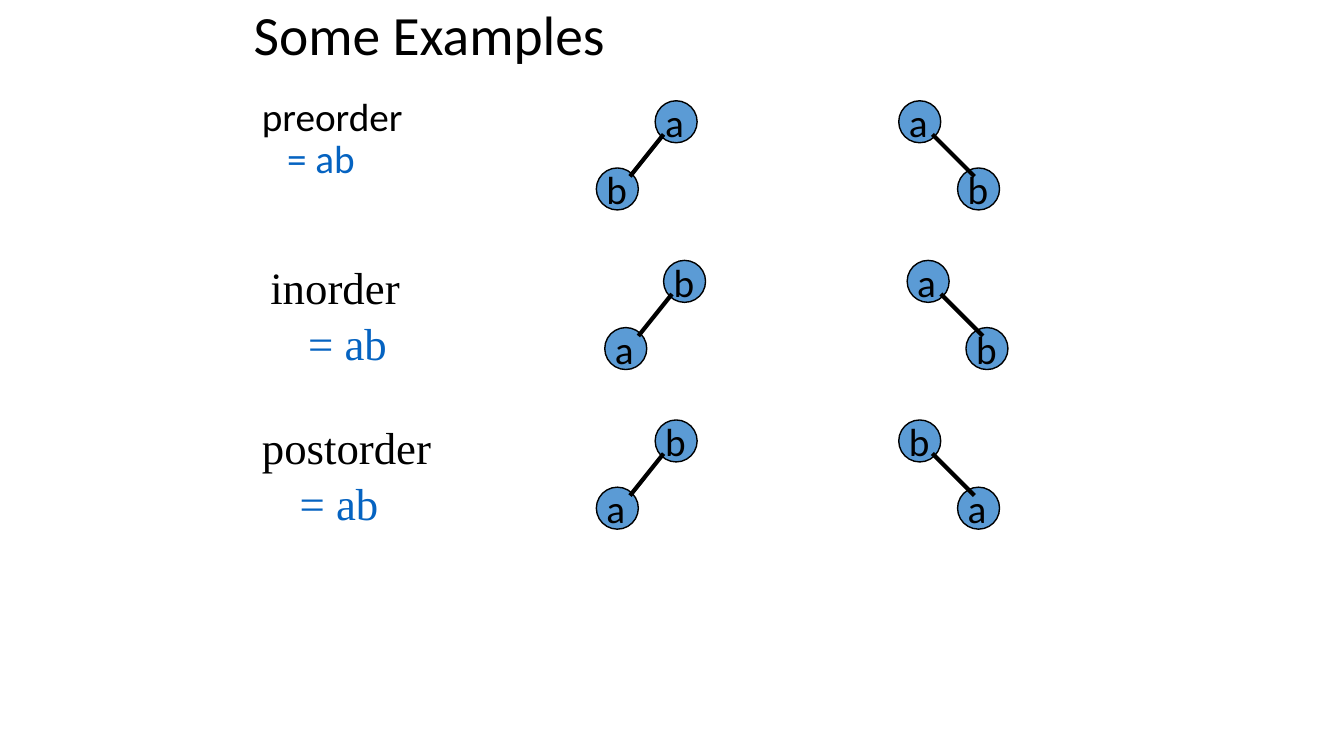
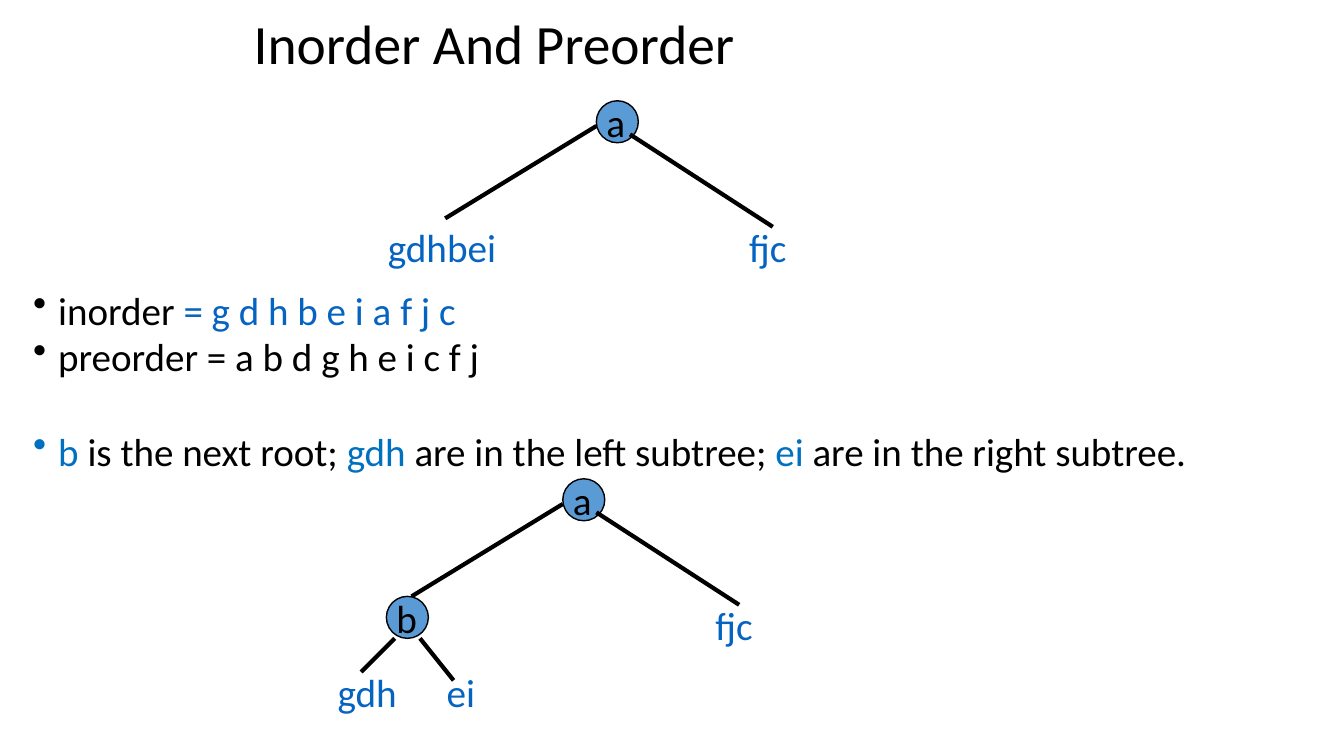
"""Build two slides on recovering binary trees from their traversals."""
import pptx
import pptx.dml.color
import pptx.enum.shapes
import pptx.enum.text
import pptx.oxml
import pptx.oxml.ns
import pptx.util

Pt = pptx.util.Pt
ANCHOR = pptx.enum.text.MSO_ANCHOR
ALIGN = pptx.enum.text.PP_ALIGN

COLORS = {"ink": "000000", "node": "5B9BD5", "answer": "0563C1", "key": "0070C0"}
BODY_FONT, SERIF_FONT = "Calibri", "Times New Roman"
NODE_SIZE = 30

ORDERS = [
    {"name": "preorder ", "trees": ("ab", "ab"), "shift": 0, "width": 132,
     "font": BODY_FONT, "size": 28, "hang": 18, "spacing": 0.9},
    {"name": "inorder ", "trees": ("ba", "ab"), "shift": 6, "width": 132,
     "font": SERIF_FONT, "size": 32, "hang": 27, "spacing": 1.05},
    {"name": "postorder ", "trees": ("ba", "ba"), "shift": 0, "width": 144,
     "font": SERIF_FONT, "size": 32, "hang": 27, "spacing": 1.05},
]
FIRST_ROW, ROW_STEP = 72, 114
LABEL_LEFT = 180
PAIRS = [
    {"root": 468, "child": -42, "edge": (6, -18)},
    {"root": 642, "child": 42, "edge": (24, 54)},
]

FACTS = [
    (10, [("inorder ", "ink"), ("= g d h b e i a f j c", "answer")]),
    (10, [("preorder = a b d g h e i c f j", "ink")]),
    (44, [("b", "key"), (" is the next root; ", "ink"), ("gdh ", "key"),
          ("are in the left subtree; ", "ink"), ("ei ", "key"),
          ("are in the right subtree.", "ink")]),
]
FIRST_ROOT, SECOND_ROOT = (426, 72), (402, 342)
SUBTREE_LABELS = [("gdhbei", 270, 156, 102), ("gdh", 234, 474, 60), ("ei", 312, 474, 48)]
SUBTREE_NODE = ("b", 276, 426)
SUBTREE_EDGES = [((282, 456), (258, 480)), ((300, 456), (324, 486))]


def rgb(name):
    return pptx.dml.color.RGBColor.from_string(COLORS[name])


def add_run(paragraph, text, color="ink", size=28, font=BODY_FONT):
    run = paragraph.add_run()
    run.text = text
    run.font.name, run.font.size = font, Pt(size)
    run.font.color.rgb = rgb(color)


def add_titled_slide(deck, title, top, height):
    slide = deck.slides.add_slide(deck.slide_layouts[5])
    heading = slide.shapes.title
    heading.left, heading.top = Pt(174), Pt(top)
    heading.width, heading.height = Pt(612), Pt(height)
    frame = heading.text_frame
    frame.auto_size = pptx.enum.text.MSO_AUTO_SIZE.NONE
    frame.vertical_anchor = ANCHOR.MIDDLE
    paragraph = frame.paragraphs[0]
    paragraph.alignment, paragraph.line_spacing = ALIGN.LEFT, 0.9
    add_run(paragraph, title, size=39.6)
    return slide


def add_text_frame(slide, left, top, width, height):
    frame = slide.shapes.add_textbox(Pt(left), Pt(top), Pt(width), Pt(height)).text_frame
    frame.word_wrap = True
    return frame


def set_hanging(paragraph, indent, bullet=None):
    properties = paragraph._p.get_or_add_pPr()
    properties.set("marL", str(Pt(indent)))
    properties.set("indent", str(-Pt(indent)))
    if bullet:
        mark = pptx.oxml.parse_xml(
            f'<a:buChar {pptx.oxml.ns.nsdecls("a")} char="{bullet}"/>')
        properties.append(mark)


def add_node(slide, letter, left, top):
    node = slide.shapes.add_shape(pptx.enum.shapes.MSO_SHAPE.OVAL,
                                  Pt(left), Pt(top), Pt(NODE_SIZE), Pt(NODE_SIZE))
    node.shadow.inherit = False
    node.fill.solid()
    node.fill.fore_color.rgb = rgb("node")
    node.line.color.rgb = rgb("ink")
    node.line.width = Pt(1)
    frame = node.text_frame
    frame.margin_left = Pt(2.8)
    frame.margin_right = frame.margin_top = frame.margin_bottom = 0
    frame.vertical_anchor = ANCHOR.MIDDLE
    frame.paragraphs[0].alignment = ALIGN.LEFT
    add_run(frame.paragraphs[0], letter)


def add_edge(slide, start, end):
    edge = slide.shapes.add_connector(pptx.enum.shapes.MSO_CONNECTOR.STRAIGHT,
                                      *(Pt(value) for value in (*start, *end)))
    edge.line.color.rgb = rgb("ink")
    edge.line.width = Pt(3)
    edge._element.spPr.append(
        pptx.oxml.parse_xml(f'<a:effectLst {pptx.oxml.ns.nsdecls("a")}/>'))


def add_subtree_label(slide, text, left, top, width):
    frame = add_text_frame(slide, left, top, width, 41)
    add_run(frame.paragraphs[0], text, "answer")


def add_pair(slide, pair, letters, shift, top):
    root = pair["root"] + shift
    add_node(slide, letters[1], root + pair["child"], top + 48)
    add_node(slide, letters[0], root, top)
    start, end = pair["edge"]
    add_edge(slide, (root + start, top + 24), (root + end, top + 54))


def add_split(slide, left, top):
    add_node(slide, "a", left, top)
    add_edge(slide, (left, top + 18), (left - 108, top + 84))
    add_edge(slide, (left + 24, top + 24), (left + 126, top + 90))
    add_subtree_label(slide, "fjc", left + 102, top + 84, 102)


def build_examples(deck):
    slide = add_titled_slide(deck, "Some Examples", 0, 54)
    for row, order in enumerate(ORDERS):
        top = FIRST_ROW + row * ROW_STEP
        frame = add_text_frame(slide, LABEL_LEFT + order["shift"], top - 6, order["width"], 96)
        paragraph = frame.paragraphs[0]
        paragraph.line_spacing = order["spacing"]
        set_hanging(paragraph, order["hang"])
        for text, color in ((order["name"], "ink"), ("= ab", "answer")):
            add_run(paragraph, text, color, order["size"], order["font"])
        for pair, letters in zip(PAIRS, order["trees"]):
            add_pair(slide, pair, letters, order["shift"], top)


def build_reconstruction(deck):
    slide = add_titled_slide(deck, "Inorder And Preorder", 12, 42)
    frame = add_text_frame(slide, 16.5, 210, 862.5, 144)
    for index, (space, runs) in enumerate(FACTS):
        paragraph = frame.add_paragraph() if index else frame.paragraphs[0]
        paragraph.line_spacing, paragraph.space_before = 0.7, Pt(space)
        set_hanging(paragraph, 18, "•")
        for text, color in runs:
            add_run(paragraph, text, color, 27.9)
    for root in (FIRST_ROOT, SECOND_ROOT):
        add_split(slide, *root)
    add_node(slide, *SUBTREE_NODE)
    for label in SUBTREE_LABELS:
        add_subtree_label(slide, *label)
    for start, end in SUBTREE_EDGES:
        add_edge(slide, start, end)


def main():
    deck = pptx.Presentation()
    deck.slide_width, deck.slide_height = Pt(960), Pt(540)
    build_examples(deck)
    build_reconstruction(deck)
    deck.save("out.pptx")


if __name__ == "__main__":
    main()
